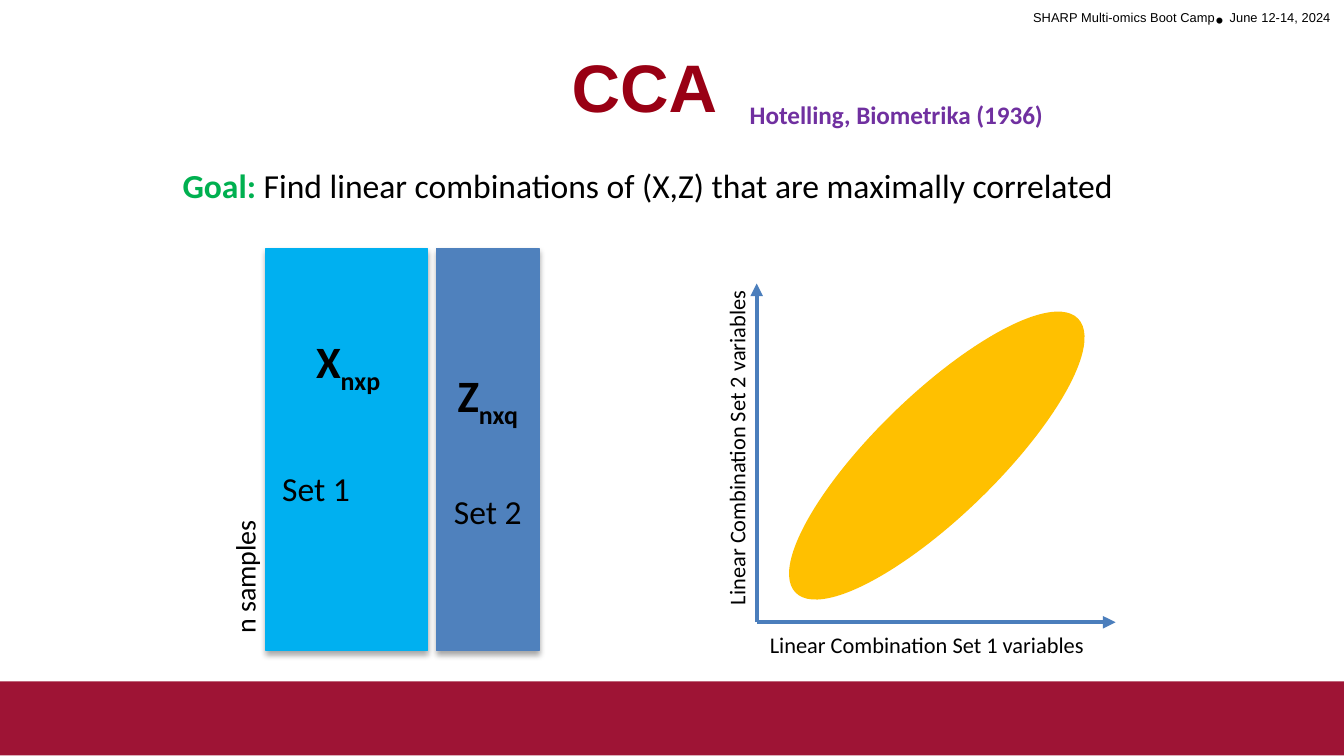
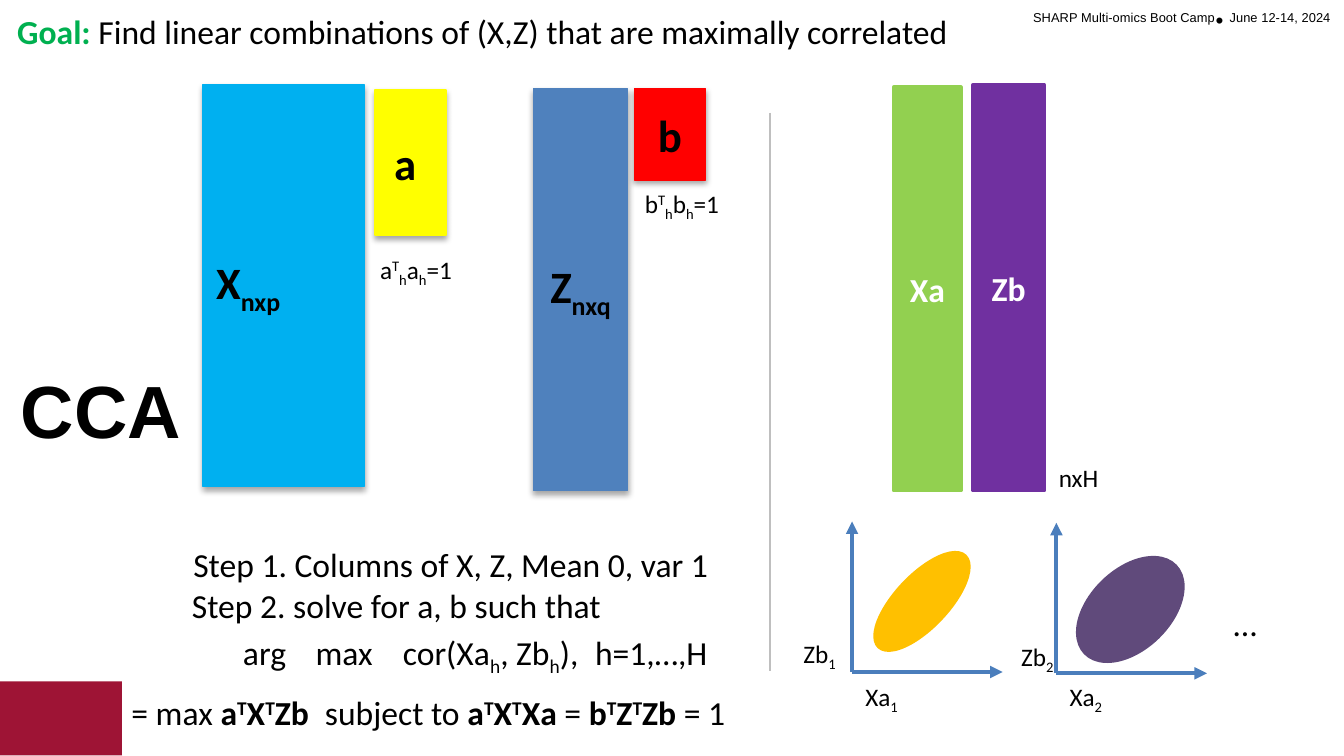
"""Build two slides that explain canonical correlation analysis."""
from lxml.etree import SubElement as Sub
from pptx import Presentation
from pptx.dml.color import RGBColor
from pptx.enum.shapes import MSO_CONNECTOR as Link, MSO_SHAPE as Form
from pptx.enum.text import MSO_ANCHOR as Anchor, MSO_AUTO_SIZE as Fit, PP_ALIGN as Align
from pptx.oxml.ns import qn
from pptx.util import Inches, Pt

BLACK = RGBColor(0x00, 0x00, 0x00)
WHITE = RGBColor(0xFF, 0xFF, 0xFF)
GREY = RGBColor(0xBF, 0xBF, 0xBF)
WINE = RGBColor(0x9E, 0x14, 0x35)
RED = RGBColor(0xFF, 0x00, 0x00)
DARK = RGBColor(0x99, 0x00, 0x14)
GREEN = RGBColor(0x00, 0xB0, 0x50)
LIME = RGBColor(0x92, 0xD0, 0x50)
SKY = RGBColor(0x00, 0xB0, 0xF0)
BLUE = RGBColor(0x4F, 0x81, 0xBD)
AXIS = RGBColor(0x4B, 0x7E, 0xBC)
YELLOW = RGBColor(0xFF, 0xFF, 0x00)
GOLD = RGBColor(0xFF, 0xC0, 0x00)
VIOLET = RGBColor(0x70, 0x30, 0xA0)
PLUM = RGBColor(0x60, 0x4A, 0x7B)

GOAL = "*Goal:* Find linear combinations of (X,Z) that are maximally correlated"
LEFT, MID, RIGHT = Align.LEFT, Align.CENTER, Align.RIGHT


def write(slide, text, box, size=18, color=BLACK, bold=False, font="Calibri",
          align=(LEFT,), mark=None, wrap=False, fit=True, turn=0, stops=(), gap=0,
          pad=(0.1, 0.05, 0.1, 0.05), form=None, fill=None, edge=0.75, shade=False):
    """Add text or a filled shape; * toggles bold, ^ raises and _ lowers."""
    area = [Inches(n) for n in box]
    if form:
        shape = slide.shapes.add_shape(form, *area)
        shape.fill.solid()
        shape.fill.fore_color.rgb = fill
        if edge:
            shape.line.color.rgb = fill
            shape.line.width = Pt(edge)
        else:
            shape.line.fill.background()
        shape.shadow.inherit = False
    else:
        shape = slide.shapes.add_textbox(*area)
    if shade:
        glow = Sub(shape._element.spPr.find(qn("a:effectLst")), qn("a:outerShdw"),
                   blurRad="40000", dist="23000", dir="5400000", rotWithShape="0")
        tint = Sub(glow, qn("a:srgbClr"), val="000000")
        Sub(tint, qn("a:alpha"), val="35000")
    shape.rotation = turn
    if not text:
        return
    frame = shape.text_frame
    frame.word_wrap = bool(wrap or form)
    frame.vertical_anchor = Anchor.MIDDLE if form else Anchor.TOP
    frame.auto_size = Fit.NONE if form or not fit else Fit.SHAPE_TO_FIT_TEXT
    (frame.margin_left, frame.margin_top,
     frame.margin_right, frame.margin_bottom) = [Inches(n) for n in pad]
    for row, line in enumerate(text.split("\n")):
        para = frame.add_paragraph() if row else frame.paragraphs[0]
        para.alignment = align[min(row, len(align) - 1)]
        if row:
            para.space_before = Pt(gap)
        if stops:
            tabs = Sub(para._p.get_or_add_pPr(), qn("a:tabLst"))
            for stop in stops:
                Sub(tabs, qn("a:tab"), pos=str(Inches(stop)), algn="l")
        for i, part in enumerate(line.split("*")):
            for j, bit in enumerate(part.split("^")):
                for k, word in enumerate(bit.split("_")):
                    if not word:
                        continue
                    run = para.add_run()
                    run.text = word
                    run.font.name = font
                    run.font.size = Pt(18 if row else size)
                    run.font.bold = bool(bold and not row) or i % 2 == 1
                    run.font.color.rgb = mark if mark and i % 2 else color
                    if j % 2 or k % 2:
                        run.font._element.set("baseline", "30000" if j % 2 else "-25000")


def draw(slide, start, end, color=AXIS, width=2.25, head=True):
    """Add a straight line, with an arrowhead at its end if asked."""
    line = slide.shapes.add_connector(
        Link.STRAIGHT, *[Inches(n) for n in (*start, *end)])
    line.line.color.rgb = color
    line.line.width = Pt(width)
    if head:
        Sub(line.line._get_or_add_ln(), qn("a:tailEnd"), type="triangle")
    Sub(line._element.spPr, qn("a:effectLst"))


deck = Presentation()
deck.slide_width, deck.slide_height = Inches(10), Inches(10) * 9 // 16
first, second = [deck.slides.add_slide(deck.slide_layouts[6]) for _ in range(2)]
for slide in (first, second):
    write(slide, "", (0, 5.07, 10, 0.55), form=Form.RECTANGLE, fill=WINE, edge=0)
    write(slide, "^SHARP Multi-omics Boot Camp^• ^June 12-14, 2024^", (6.04, 0, 3.96, 0.3),
          size=12, font="Arial", align=(RIGHT,), wrap=True)

matrix = dict(size=24, bold=True, form=Form.RECTANGLE, shade=True)

write(first, "CCA", (0.71, 0.29, 8.17, 1.09), size=36, color=DARK, bold=True,
      font="Arial", align=(MID,), wrap=True, fit=False)
write(first, "Hotelling, Biometrika (1936)", (5.48, 0.69, 2.42, 0.33),
      size=13.5, color=VIOLET, bold=True)
write(first, "X_nxp_\nSet 1", (1.98, 1.85, 1.2, 2.99), fill=SKY, align=(MID, LEFT),
      gap=39, pad=(0.12, 0.05, 0.1, 0.47), **matrix)
write(first, "Z_nxq_\nSet 2", (3.25, 1.85, 0.76, 2.99), fill=BLUE, align=(MID,),
      gap=33, **matrix)
write(first, "n samples", (1.29, 4.11, 1.06, 0.35), size=15, turn=270)
write(first, GOAL, (1.26, 1.18, 7.49, 0.4), mark=GREEN, wrap=True)
for end in ((8.3, 4.63), (5.63, 2.11)):
    draw(first, (5.63, 4.63), end)
for part, left, top, turn in ((1, 5.63, 4.65, 0), (2, 4.2, 3.17, 270)):
    write(first, f"Linear Combination Set {part} variables", (left, top, 2.56, 0.3),
          size=12, turn=turn)
write(first, "", (6.53, 1.94, 0.88, 2.9), form=Form.OVAL, fill=GOLD, edge=2, turn=45.9)

write(second, "CCA", (0.03, 2, 1.56, 1.62), size=39.6, bold=True, font="Arial",
      align=(MID,), wrap=True, fit=False, pad=(0.09, 0.71, 0.21, 0.05))
for text, box, fill, side, pad in (
        ("a", (2.79, 0.67, 0.53, 1.08), YELLOW, MID, 0.18),
        ("b", (4.72, 0.66, 0.53, 0.68), RED, MID, 0.1),
        ("X_nxp_", (1.51, 0.63, 1.2, 2.99), SKY, LEFT, 0.1),
        ("Z_nxq_", (3.97, 0.66, 0.7, 2.99), BLUE, MID, 0.1)):
    write(second, text, box, fill=fill, align=(side,), pad=(0.1, 0.05, pad, 0.05), **matrix)
for text, box, fill in (("Xa", (6.65, 0.65, 0.5, 3), LIME),
                        ("Zb", (7.24, 0.63, 0.53, 3.02), VIOLET)):
    write(second, text, box, color=WHITE, bold=True, align=(MID,),
          form=Form.RECTANGLE, fill=fill, edge=2)
for text, box in (("a^T^_h_a_h_=1", (2.73, 1.84, 0.77, 0.33)),
                  ("b^T^_h_b_h_=1", (4.7, 1.35, 0.79, 0.33)),
                  ("nxH", (7.78, 3.39, 0.5, 0.33))):
    write(second, text, box, size=13.5)
write(second, "", (0.91, 5.03, 9.09, 0.59), form=Form.RECTANGLE, fill=WHITE)
draw(second, (5.73, 0.84), (5.73, 4.99), GREY, 0.75, False)

write(second, GOAL, (0.03, 0.03, 7.49, 0.4), mark=GREEN, wrap=True)
write(second, "Step 1. Columns of X, Z, Mean 0, var 1", (1.34, 4, 4.09, 0.4), wrap=True)
write(second, "Step 2. solve for a, b such that", (1.33, 4.3, 3.28, 0.4))
write(second, "arg\tmax\tcor(Xa_h_, Zb_h_),\th=1,…,H", (1.71, 4.65, 3.73, 0.4),
      stops=(0.54, 1.19, 2.62), wrap=True)
write(second, "= max *a^T^X^T^Zb*\tsubject to *a^T^X^T^Xa* = *b^T^Z^T^Zb* = 1",
      (0.88, 5.1, 4.77, 0.4), stops=(1.44,), wrap=True)
write(second, "…", (9.08, 4.44, 0.38, 0.4))

for pair, left, base, label, oval, turn, fill in (
        (1, 6.34, 5, (5.88, 4.7), (6.67, 4.01, 0.38, 0.93), 43.5, GOLD),
        (2, 7.86, 5.01, (7.5, 4.72), (8.12, 4.07, 0.58, 0.93), 46, PLUM)):
    for end in ((left, base - 1.12), (left + 1.12, base)):
        draw(second, (left, base), end)
    write(second, f"Xa_{pair}_", (left, 5.02, 0.45, 0.33), size=13.5)
    write(second, f"Zb_{pair}_", (*label, 0.46, 0.33), size=13.5)
    write(second, "", oval, form=Form.OVAL, fill=fill, edge=2, turn=turn)

deck.save("out.pptx")
